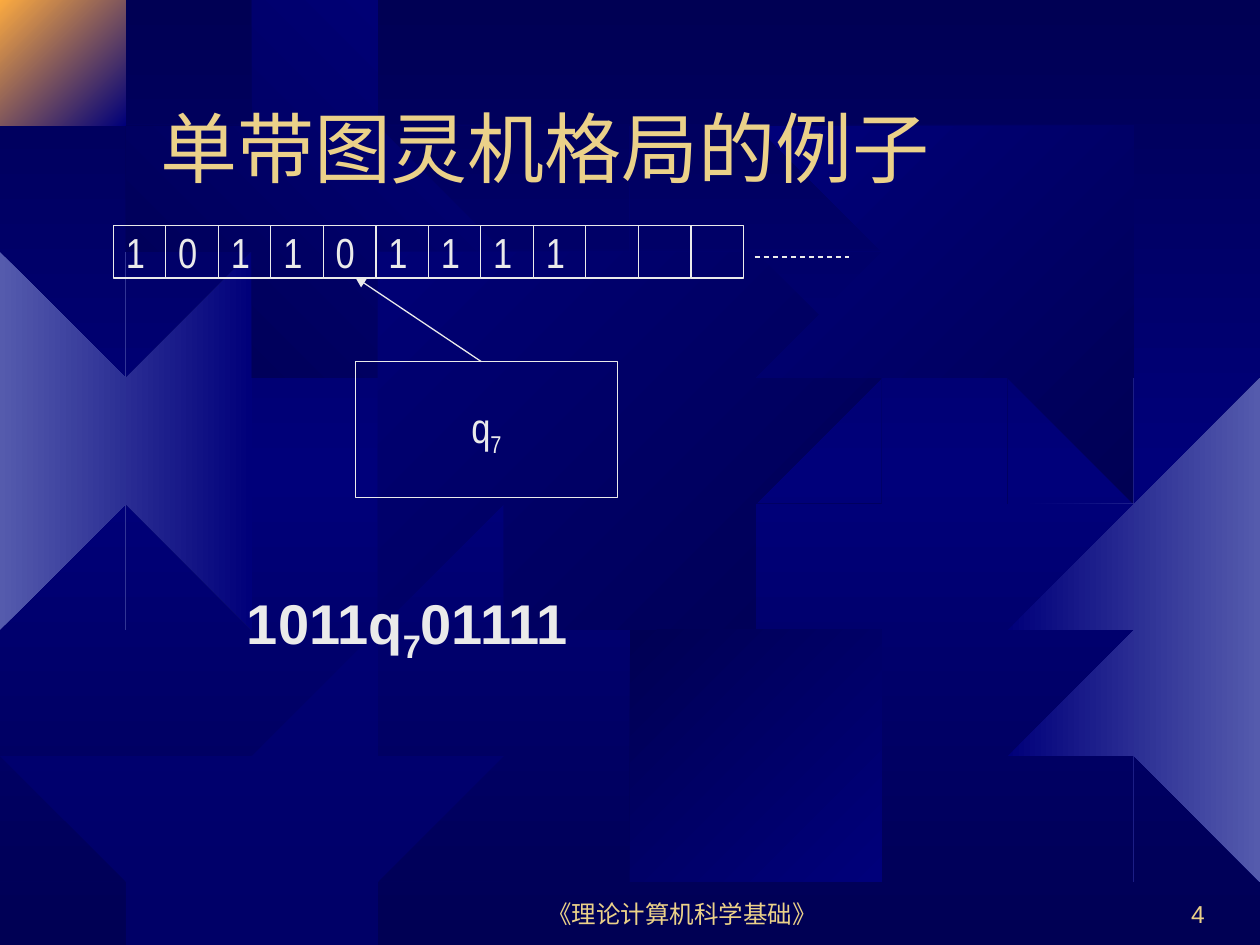
import copy
from dataclasses import dataclass

import pptx
import pptx.dml.color
import pptx.enum.dml
import pptx.enum.shapes
import pptx.enum.text
import pptx.oxml
import pptx.oxml.ns
import pptx.util
from pptx.util import Inches

ALIGN = pptx.enum.text.PP_ALIGN
ANCHOR = pptx.enum.text.MSO_ANCHOR


@dataclass(frozen=True)
class Theme:
    dark: str = "000054"
    blue: str = "00007A"
    steel: str = "555BAD"
    orange: str = "FCAB40"
    gold: str = "EBD189"
    light: str = "EAEAEA"
    font: str = "Arial"
    narrow: str = "Arial Narrow"
    title: int = 44
    body: int = 32
    label: int = 24
    footer: int = 14
    line: float = 0.75


T = Theme()
SLIDE_W, SLIDE_H = 10, 7.5

# Outline of a twelve-toothed gear on a square of GEAR_UNITS.
GEAR_UNITS = 401
GEAR = [
    (255, 67), (223, 59), (219, 0), (180, 3), (177, 59), (151, 68),
    (113, 20), (87, 35), (112, 88), (94, 106), (38, 85), (25, 107),
    (68, 145), (61, 174), (1, 178), (0, 210), (61, 219), (67, 246),
    (22, 287), (38, 312), (88, 288), (107, 307), (81, 355), (106, 375),
    (151, 332), (177, 340), (183, 400), (222, 401), (226, 339), (259, 330),
    (299, 374), (325, 358), (299, 306), (316, 284), (368, 309), (384, 281),
    (336, 246), (342, 216), (401, 210), (400, 180), (341, 171), (335, 148),
    (383, 114), (367, 87), (313, 109), (296, 91), (323, 41), (297, 25),
]
# left, top, size, first colour, last colour, clockwise gradient angle
GEARS = [
    (-0.49, 2.01, 2.96, T.steel, T.blue, 0),
    (0.12, -0.04, 0.92, T.orange, T.blue, 45),
    (1.3, 0.39, 2.48, T.dark, T.blue, 315),
    (2.77, 1.39, 4.01, T.blue, T.dark, 45),
    (0, 5.25, 3.74, T.blue, None, 0),
    (4.91, 4.84, 2.48, T.dark, T.blue, 45),
    (6.18, 0.53, 3.2, T.blue, T.dark, 45),
    (7.82, 2.8, 4.37, T.blue, T.steel, 0),
]

TAPE = "101101111"
TAPE_CELLS = 12
TAPE_LEFT, TAPE_TOP, CELL = 0.9, 1.79, 5 / 12


def rgb(value):
    return pptx.dml.color.RGBColor.from_string(value)


def set_gradient(fill, first, last, angle):
    fill.gradient()
    fill.gradient_angle = (360 - angle) % 360
    for stop, colour, position in zip(fill.gradient_stops, (first, last), (0, 1)):
        stop.color.rgb = rgb(colour)
        stop.position = position


def set_background(s):
    """Vertical gradient, dark at both ends and blue in the middle."""
    fill = s.background.fill
    set_gradient(fill, T.dark, T.blue, 90)
    stops = s.element.find(".//" + pptx.oxml.ns.qn("a:gsLst"))
    stops.append(copy.deepcopy(stops[0]))
    for stop, position in zip(fill.gradient_stops, (0, 0.5, 1)):
        stop.position = position


def clip(points, axis, limit, sign):
    """Keep the part of a polygon where sign * coordinate <= sign * limit."""
    kept = []
    for a, b in zip(points, points[1:] + points[:1]):
        a_in, b_in = (sign * q[axis] <= sign * limit for q in (a, b))
        if a_in:
            kept.append(a)
        if a_in != b_in:
            t = (limit - a[axis]) / (b[axis] - a[axis])
            kept.append(tuple(u + t * (v - u) for u, v in zip(a, b)))
    return kept


def add_gear(s, left, top, size, first, last, angle):
    scale = size / GEAR_UNITS
    points = [(left + x * scale, top + y * scale) for x, y in GEAR]
    for axis, limit, sign in ((0, 0, -1), (0, SLIDE_W, 1), (1, 0, -1), (1, SLIDE_H, 1)):
        points = clip(points, axis, limit, sign)
    builder = s.shapes.build_freeform(*points[0], scale=Inches(1))
    builder.add_line_segments(points[1:], close=True)
    sp = builder.convert_to_shape()
    sp.shadow.inherit = False
    sp.line.fill.background()
    if last:
        set_gradient(sp.fill, first, last, angle)
        return
    sp.fill.solid()
    sp.fill.fore_color.rgb = rgb(first)
    colour = sp.element.find(".//" + pptx.oxml.ns.qn("a:srgbClr"))
    pptx.oxml.ns.qn("a:alpha")
    colour.append(pptx.oxml.parse_xml(
        f'<a:alpha {pptx.oxml.ns.nsdecls("a")} val="50000"/>'))


def write(sp, runs, size, colour, font=T.font, align=ALIGN.LEFT,
          anchor=ANCHOR.MIDDLE, bold=False):
    """Fill one paragraph with runs given as (text, is_subscript)."""
    tf = sp.text_frame
    tf.word_wrap = True
    tf.auto_size = pptx.enum.text.MSO_AUTO_SIZE.NONE
    tf.vertical_anchor = anchor
    p = tf.paragraphs[0]
    p.alignment = align
    p.space_before = pptx.util.Pt(0)
    for text, subscript in runs:
        r = p.add_run()
        r.text = text
        r.font.name, r.font.size, r.font.bold = font, pptx.util.Pt(size), bold
        r.font.color.rgb = rgb(colour)
        if subscript:
            r.font._element.set("baseline", "-25000")
    return p


def place(sp, left, top, width, height):
    """Position a placeholder and bring it in front of the gears."""
    sp.left, sp.top, sp.width, sp.height = map(Inches, (left, top, width, height))
    sp.element.getparent().append(sp.element)


def add_title(s, text):
    place(s.shapes.title, 1.17, 0.33, 8.5, 1.25)
    write(s.shapes.title, [(text, False)], T.title, T.gold, anchor=ANCHOR.BOTTOM)


def add_configuration(s, runs):
    sp = s.placeholders[1]
    place(sp, 0.5, 4.57, 5.86, 1.47)
    sp.text_frame.margin_top = Inches(0.1)
    p = write(sp, runs, T.body, T.light, anchor=ANCHOR.TOP, bold=True)
    pPr = p._p.get_or_add_pPr()
    pPr.set("marL", str(Inches(1.36)))
    pPr.set("indent", "0")
    pPr.append(pptx.oxml.parse_xml(f'<a:buNone {pptx.oxml.ns.nsdecls("a")}/>'))


def add_footer(s, text, left, width, align):
    sp = s.shapes.add_textbox(*map(Inches, (left, 6.92, width, 0.5)))
    write(sp, [(text, False)], T.footer, T.gold, align=align, anchor=ANCHOR.BOTTOM)


def add_box(s, left, top, width, height, runs, align):
    sp = s.shapes.add_shape(pptx.enum.shapes.MSO_SHAPE.RECTANGLE,
                            *map(Inches, (left, top, width, height)))
    sp.shadow.inherit = False
    sp.fill.background()
    sp.line.color.rgb = rgb(T.light)
    sp.line.width = pptx.util.Pt(T.line)
    tf = sp.text_frame
    tf.margin_top = tf.margin_bottom = tf.margin_right = 0
    tf.margin_left = Inches(0.1) if align == ALIGN.LEFT else 0
    write(sp, runs, T.label, T.light, T.narrow, align)


def add_tape(s):
    for i, symbol in enumerate(TAPE.ljust(TAPE_CELLS)):
        runs = [(symbol, False)] if symbol.strip() else []
        add_box(s, TAPE_LEFT + i * CELL, TAPE_TOP, CELL, CELL, runs, ALIGN.LEFT)


def add_line(s, start, end, arrow=False, dashed=False):
    line = s.shapes.add_connector(pptx.enum.shapes.MSO_CONNECTOR.STRAIGHT,
                                  *map(Inches, start + end))
    line.line.color.rgb = rgb(T.light)
    line.line.width = pptx.util.Pt(T.line)
    if dashed:
        line.line.dash_style = pptx.enum.dml.MSO_LINE.DASH
    ns = pptx.oxml.ns.nsdecls("a")
    if arrow:
        line.line._get_or_add_ln().append(
            pptx.oxml.parse_xml(f'<a:tailEnd {ns} type="triangle"/>'))
    line.element.spPr.append(pptx.oxml.parse_xml(f"<a:effectLst {ns}/>"))


def main():
    prs = pptx.Presentation()
    prs.slide_width, prs.slide_height = Inches(SLIDE_W), Inches(SLIDE_H)
    s = prs.slides.add_slide(prs.slide_layouts[1])
    set_background(s)
    for gear in GEARS:
        add_gear(s, *gear)
    add_footer(s, "《理论计算机科学基础》", 3.83, 3.17, ALIGN.CENTER)
    add_footer(s, "4", 7.58, 2.08, ALIGN.RIGHT)
    add_title(s, "单带图灵机格局的例子")
    add_configuration(s, [("1011q", False), ("7", True), ("01111", False)])
    add_box(s, 2.82, 2.87, 2.08, 1.08, [("q", False), ("7", True)], ALIGN.CENTER)
    add_line(s, (3.82, 2.87), (2.82, 2.2), arrow=True)
    add_tape(s)
    add_line(s, (5.99, 2.04), (6.74, 2.04), dashed=True)
    prs.save("out.pptx")


if __name__ == "__main__":
    main()
